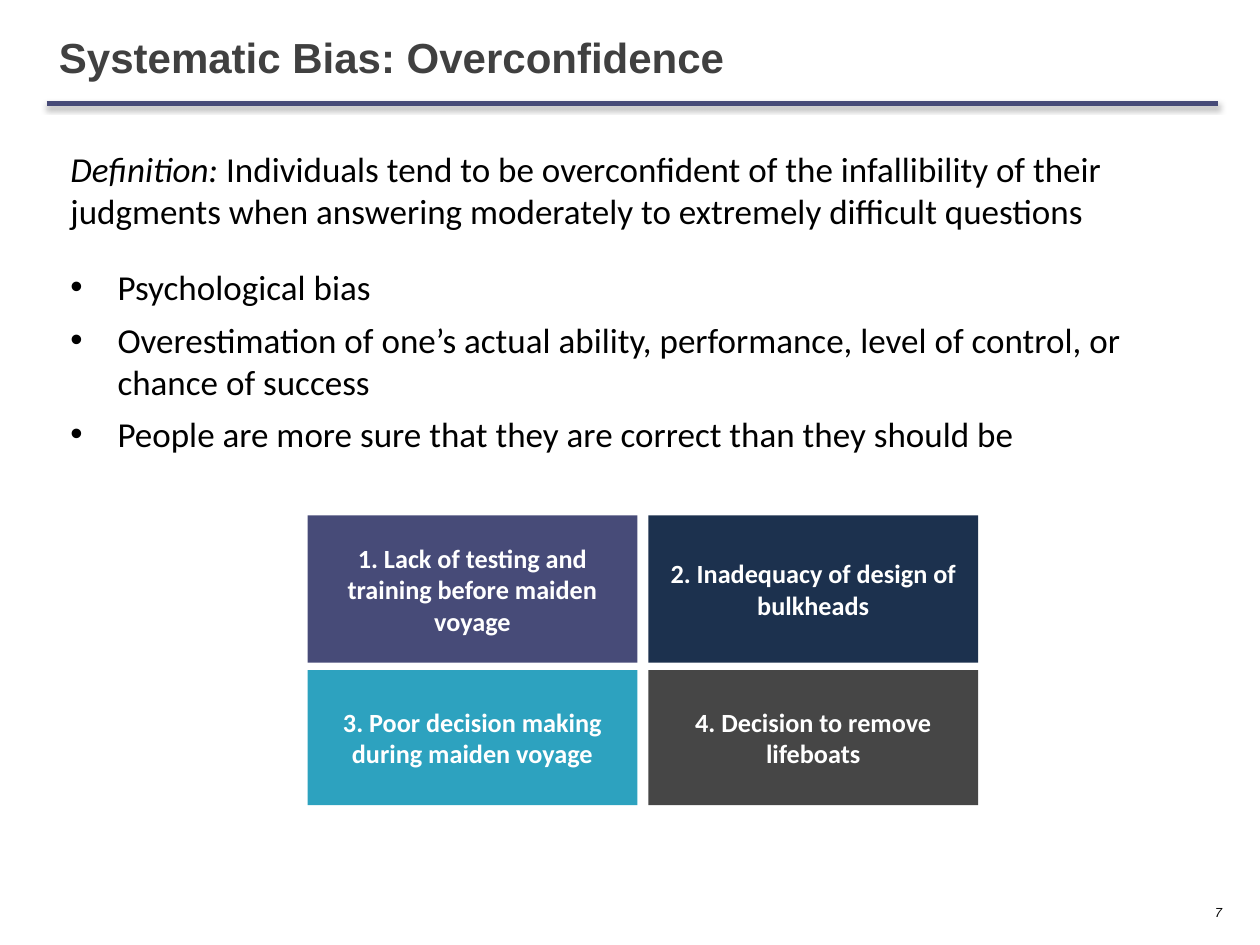
import pptx
import pptx.dml.color
import pptx.enum.shapes
import pptx.enum.text
import pptx.util
from lxml import etree
from pptx.oxml.ns import qn

Cm = pptx.util.Cm
Pt = pptx.util.Pt
ALIGN = pptx.enum.text.PP_ALIGN
ANCHOR = pptx.enum.text.MSO_ANCHOR


def color(hex_string):
    return pptx.dml.color.RGBColor.from_string(hex_string)


def add_text(paragraph, text, font="Calibri", size=20, fill="000000", bold=False, italic=False):
    run = paragraph.add_run()
    run.text = text
    run.font.name = font
    run.font.size = Pt(size)
    run.font.bold = bold
    run.font.italic = italic
    run.font.color.rgb = color(fill)


class SlideBuilder:
    accent = "474B78"
    heading_font = "Arial"
    indent = Cm(0.95)

    def __init__(self, presentation):
        self.slide = presentation.slides.add_slide(presentation.slide_layouts[6])

    def box(self, left, top, width, height, fill="FFFFFF", align=ALIGN.LEFT):
        """Add a filled rectangle and return its text frame."""
        shape = self.slide.shapes.add_shape(
            pptx.enum.shapes.MSO_SHAPE.RECTANGLE, Cm(left), Cm(top), Cm(width), Cm(height))
        shape.shadow.inherit = False
        shape.fill.solid()
        shape.fill.fore_color.rgb = color(fill)
        shape.line.fill.background()
        frame = shape.text_frame
        frame.word_wrap = True
        frame.vertical_anchor = ANCHOR.MIDDLE
        frame.paragraphs[0].alignment = align
        return frame

    def rule(self, left, right, top):
        connector = self.slide.shapes.add_connector(
            pptx.enum.shapes.MSO_CONNECTOR.STRAIGHT, Cm(left), Cm(top), Cm(right), Cm(top))
        connector.line.color.rgb = color(self.accent)
        connector.line.width = Pt(3)
        effects = etree.SubElement(connector._element.spPr, qn("a:effectLst"))
        shadow = etree.SubElement(effects, qn("a:outerShdw"), blurRad=str(Pt(3.1)),
                                  dist=str(Pt(1.8)), dir="5400000", rotWithShape="0")
        shade = etree.SubElement(shadow, qn("a:srgbClr"), val="000000")
        etree.SubElement(shade, qn("a:alpha"), val="35000")

    def title(self, text):
        frame = self.box(0.94, 0.36, 23.62, 1.57)
        add_text(frame.paragraphs[0], text, font=self.heading_font, size=24,
                 fill="404040", bold=True)

    def definition(self, term, text):
        paragraph = self.box(1.17, 2.79, 23.42, 2.06).paragraphs[0]
        add_text(paragraph, term, italic=True)
        add_text(paragraph, text)

    def bullets(self, items):
        frame = self.box(1.17, 5.03, 23.42, 6.1)
        frame.vertical_anchor = ANCHOR.TOP
        frame.margin_top = Cm(0.33)
        for index, item in enumerate(items):
            paragraph = frame.add_paragraph() if index else frame.paragraphs[0]
            paragraph.alignment = ALIGN.LEFT
            paragraph.space_after = Pt(6)
            properties = paragraph._p.get_or_add_pPr()
            properties.set("marL", str(self.indent))
            properties.set("indent", str(-self.indent))
            etree.SubElement(properties, qn("a:buFont"), typeface="Arial")
            etree.SubElement(properties, qn("a:buChar"), char="•")
            add_text(paragraph, item)

    def tile(self, left, top, width, height, text, fill):
        frame = self.box(left, top, width, height, fill, ALIGN.CENTER)
        add_text(frame.paragraphs[0], text, size=15, fill="FFFFFF", bold=True)

    def page_number(self, number):
        text_box = self.slide.shapes.add_textbox(Cm(23.98), Cm(17.75), Cm(1.17), Cm(1.3))
        frame = text_box.text_frame
        frame.word_wrap = True
        frame.vertical_anchor = ANCHOR.MIDDLE
        frame.margin_left = frame.margin_right = Cm(0.18)
        frame.margin_top = frame.margin_bottom = Cm(0.1)
        frame.paragraphs[0].alignment = ALIGN.CENTER
        add_text(frame.paragraphs[0], number, font=self.heading_font, size=7.5, italic=True)


def main():
    presentation = pptx.Presentation()
    presentation.slide_width = Cm(25.4)
    presentation.slide_height = Cm(19.05)
    builder = SlideBuilder(presentation)

    # Frame of the slide
    builder.rule(0.94, 24.56, 2.08)
    builder.page_number("7")
    builder.title("Systematic Bias: Overconfidence")

    # Definition and bullets
    builder.definition(
        "Definition: ",
        "Individuals tend to be overconfident of the infallibility of their judgments "
        "when answering moderately to extremely difficult questions")
    builder.bullets([
        "Psychological bias",
        "Overestimation of one’s actual ability, performance, level of control, "
        "or chance of success",
        "People are more sure that they are correct than they should be",
    ])

    # Two-by-two grid of examples
    tiles = [
        ("1. Lack of testing and training before maiden voyage", builder.accent),
        ("2. Inadequacy of design of bulkheads", "1C314E"),
        ("3. Poor decision making during maiden voyage", "2DA2BF"),
        ("4. Decision to remove lifeboats", "464646"),
    ]
    rows = [(10.39, 2.97), (13.51, 2.72)]
    width, gap = 6.65, 0.22
    for index, (text, fill) in enumerate(tiles):
        row, column = divmod(index, 2)
        top, height = rows[row]
        builder.tile(6.2 + column * (width + gap), top, width, height, text, fill)

    presentation.save("out.pptx")


if __name__ == "__main__":
    main()
